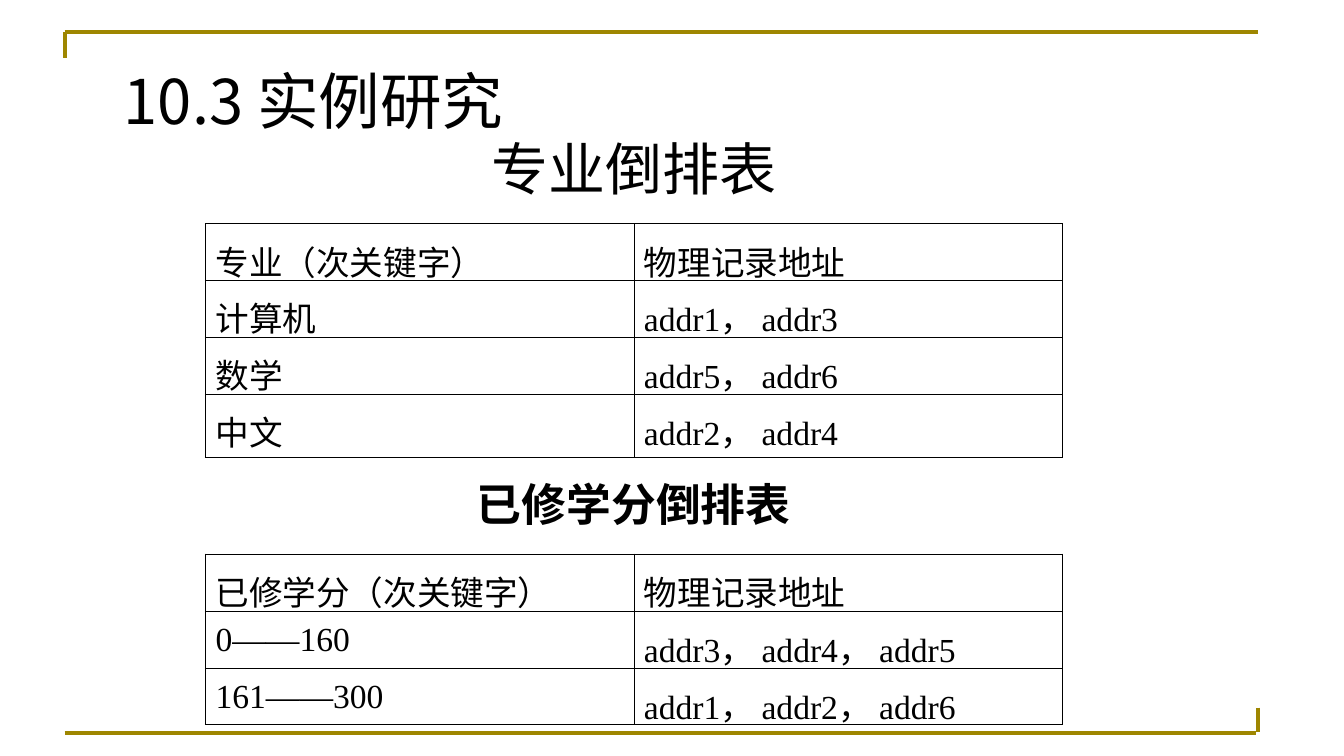
from lxml import etree
from pptx import Presentation
from pptx.dml.color import RGBColor
from pptx.enum.shapes import MSO_CONNECTOR
from pptx.enum.text import MSO_ANCHOR, PP_ALIGN
from pptx.oxml.ns import qn
from pptx.util import Cm, Pt

STRAIGHT = MSO_CONNECTOR.STRAIGHT
LEFT, CENTER = PP_ALIGN.LEFT, PP_ALIGN.CENTER
TOP, MIDDLE = MSO_ANCHOR.TOP, MSO_ANCHOR.MIDDLE

GOLD, BLACK = "9E8600", "000000"
SANS, ARIAL, SERIF = "Noto Sans CJK SC", "Arial", "Times New Roman"
THICK, THIN = 1.08, 0.45

# x1, y1, x2, y2 in cm
FRAME = [
    (1.63, 0.81, 31.72, 0.81),
    (1.63, 0.81, 1.63, 1.45),
    (1.63, 18.47, 31.67, 18.47),
    (31.72, 17.83, 31.72, 18.44),
]
# text, (left, top, width, height) in cm, format
HEADS = [
    ("10.3 实例研究", (2.87, 1.63, 27.03, 1.98),
     dict(size=44, font=SANS, space=0.93, after=1.1)),
    ("专业倒排表", (5.18, 3.66, 21.6, 1.6),
     dict(size=40.7, font=ARIAL, space=0.73, after=1.1, align=CENTER)),
    ("已修学分倒排表", (5.18, 12.01, 21.6, 1.52),
     dict(size=32, font=ARIAL, space=0.93, after=1.1, align=CENTER,
          bold=True, anchor=MIDDLE)),
]
MAJORS = [
    ("专业（次关键字）", "物理记录地址"),
    ("计算机", "addr1， addr3"),
    ("数学", "addr5， addr6"),
    ("中文", "addr2， addr4"),
]
CREDITS = [
    ("已修学分（次关键字）", "物理记录地址"),
    ("0——160", "addr3， addr4， addr5"),
    ("161——300", "addr1， addr2， addr6"),
]
# rows, top, height of the last row
TABLES = [(MAJORS, 5.64, 1.6), (CREDITS, 13.97, 1.43)]
TABLE_LEFT, COL_W, ROW_H = 5.18, 10.8, 1.43


def color(code):
    return RGBColor.from_string(code)


def write(frame, text, size=24, font=SERIF, space=1.15, after=12,
          align=LEFT, bold=False, anchor=TOP):
    frame.word_wrap = True
    frame.vertical_anchor = anchor
    para = frame.paragraphs[0]
    para.alignment = align
    para.line_spacing = space
    para.space_before = Pt(0)
    para.space_after = Pt(after)
    run = para.add_run()
    run.text = text
    run.font.size = Pt(size)
    run.font.bold = bold
    run.font.color.rgb = color(BLACK)
    run.font.name = font
    east = etree.SubElement(run.font._element, qn("a:ea"))
    east.set("typeface", SANS)


def edge(cell, side, width):
    """Draw one border of a cell; side is L, R, T or B."""
    line = etree.SubElement(cell._tc.get_or_add_tcPr(), qn("a:ln" + side))
    line.set("w", str(int(Pt(width))))
    fill = etree.SubElement(line, qn("a:solidFill"))
    etree.SubElement(fill, qn("a:srgbClr")).set("val", BLACK)


def add_grid(slide, rows, top, last):
    heights = [ROW_H] * (len(rows) - 1) + [last]
    cols = len(rows[0])
    table = slide.shapes.add_table(
        len(rows), cols, Cm(TABLE_LEFT), Cm(top),
        Cm(COL_W * cols), Cm(sum(heights))).table
    table.first_row = table.horz_banding = False
    for col in table.columns:
        col.width = Cm(COL_W)
    for r, row in enumerate(rows):
        table.rows[r].height = Cm(heights[r])
        for c, text in enumerate(row):
            cell = table.cell(r, c)
            write(cell.text_frame, text)
            outer = {"L": c == 0, "R": c == cols - 1,
                     "T": r == 0, "B": r == len(rows) - 1}
            for side, out in outer.items():
                edge(cell, side, THICK if out else THIN)
            cell.fill.background()


def main():
    deck = Presentation()
    deck.slide_width, deck.slide_height = Cm(33.88), Cm(19.05)
    slide = deck.slides.add_slide(deck.slide_layouts[6])
    for ends in FRAME:
        line = slide.shapes.add_connector(STRAIGHT, *map(Cm, ends))
        line.line.color.rgb = color(GOLD)
        line.line.width = Pt(2.83)
        etree.SubElement(line._element.spPr, qn("a:effectLst"))
    for text, box, style in HEADS:
        head = slide.shapes.add_textbox(*map(Cm, box))
        write(head.text_frame, text, **style)
    for rows, top, last in TABLES:
        add_grid(slide, rows, top, last)
    deck.save("out.pptx")


if __name__ == "__main__":
    main()
